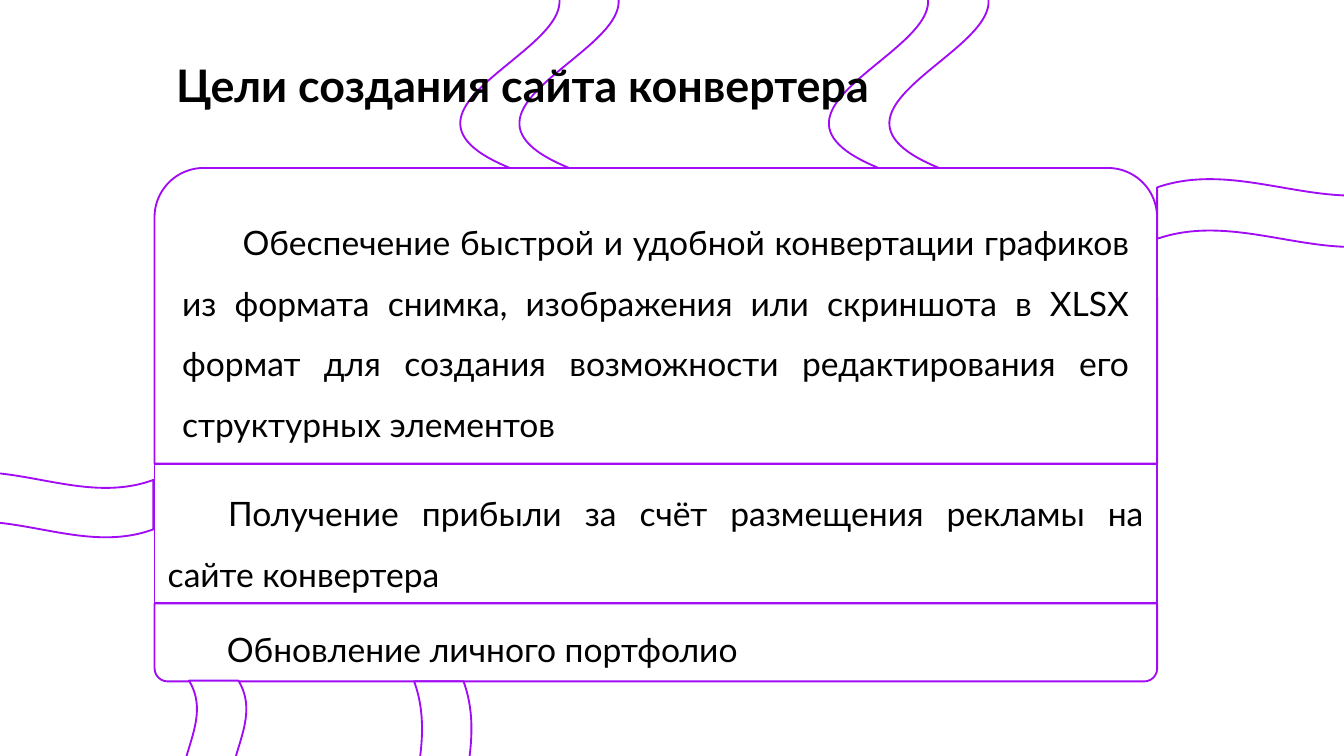
from pptx import Presentation
from pptx.dml.color import RGBColor
from pptx.enum.shapes import MSO_SHAPE
from pptx.enum.text import MSO_ANCHOR, MSO_AUTO_SIZE, PP_ALIGN
from pptx.util import Inches, Pt

WAVE = MSO_SHAPE.WAVE
PANEL = MSO_SHAPE.ROUND_2_SAME_RECTANGLE
RECTANGLE = MSO_SHAPE.RECTANGLE
MIDDLE = MSO_ANCHOR.MIDDLE
LEFT = PP_ALIGN.LEFT
JUSTIFY = PP_ALIGN.JUSTIFY
GROW = MSO_AUTO_SIZE.SHAPE_TO_FIT_TEXT

COLORS = {"paper": "FFFFFF", "outline": "A10CF4", "text": "000000"}
FONT = "Lato"
PANEL_LEFT, PANEL_WIDTH = 1.15, 7.46

# Left, top, width, height, rotation
TOP_WAVES = [(left, -1.07, 1.57, 3.07, 90) for left in (5.05, 4.16, 4.6)]
SIDE_WAVES = [
    (1.09, 5.32, 1, 0.49, 90),
    (8.61, 1.33, 1.85, 0.51, 180),
    (2.43, 5.66, 1.67, 0.49, 90),
    (-0.53, 3.51, 1.67, 0.49, 180),
]

GOALS = [
    "Обеспечение быстрой и удобной конвертации графиков из формата снимка, "
    "изображения или скриншота в XLSX формат для создания возможности "
    "редактирования его структурных элементов",
    "Получение прибыли за счёт размещения рекламы на сайте конвертера",
    "Обновление личного портфолио",
]


def color(name):
    return RGBColor.from_string(COLORS[name])


def add_outlined(page, kind, left, top, width, height, rotation=0):
    shape = page.shapes.add_shape(
        kind, Inches(left), Inches(top), Inches(width), Inches(height))
    shape.rotation = rotation
    shape.shadow.inherit = False
    shape.fill.solid()
    shape.fill.fore_color.rgb = color("paper")
    shape.line.color.rgb = color("outline")
    shape.line.width = Pt(1)
    return shape


def add_span(para, text, size, bold=False):
    span = para.add_run()
    span.text = text
    span.font.name = FONT
    span.font.size = Pt(size)
    span.font.bold = bold
    span.font.color.rgb = color("text")


def write_goal(box, text, space_after=0):
    box.text_frame.word_wrap = True
    para = box.text_frame.paragraphs[0]
    para.alignment = JUSTIFY
    para.line_spacing = 1.5
    para.space_after = Pt(space_after)
    # First-line indent
    para._p.get_or_add_pPr().set("indent", str(Inches(0.45)))
    add_span(para, text, 18)


def place_title(page, text):
    title = page.shapes.title
    title.left, title.top = Inches(1.21), Inches(0.34)
    title.width, title.height = Inches(7.46), Inches(0.58)
    title.text_frame.word_wrap = True
    title.text_frame.vertical_anchor = MIDDLE
    para = title.text_frame.paragraphs[0]
    para.alignment = LEFT
    add_span(para, text, 24, bold=True)
    # Bring the title in front of the waves drawn so far
    page.shapes.element.append(title.element)


def add_panel(page, kind, top, height, rotation=0):
    panel = add_outlined(
        page, kind, PANEL_LEFT, top, PANEL_WIDTH, height, rotation)
    panel.text_frame.vertical_anchor = MIDDLE
    return panel


def main():
    deck = Presentation()
    # Widescreen 16:9
    deck.slide_width = Inches(10)
    deck.slide_height = Inches(10 * 9 / 16)
    page = deck.slides.add_slide(deck.slide_layouts[5])
    page.background.fill.solid()
    page.background.fill.fore_color.rgb = color("paper")

    # Waves behind the title
    for wave in TOP_WAVES:
        add_outlined(page, WAVE, *wave)
    place_title(page, "Цели создания сайта конвертера")

    # Stacked goal panels
    write_goal(add_panel(page, PANEL, 1.25, 2.2), GOALS[0], space_after=8)
    write_goal(add_panel(page, RECTANGLE, 3.45, 1.04), GOALS[1])
    add_panel(page, PANEL, 4.49, 0.58, rotation=180)

    # Waves leaving the panels
    for wave in SIDE_WAVES:
        add_outlined(page, WAVE, *wave)

    # Upright text over the turned bottom panel
    box = page.shapes.add_textbox(
        Inches(1.14), Inches(4.48), Inches(7.07), Inches(0.51))
    write_goal(box, GOALS[2], space_after=8)
    box.text_frame.auto_size = GROW

    deck.save("out.pptx")


if __name__ == "__main__":
    main()
